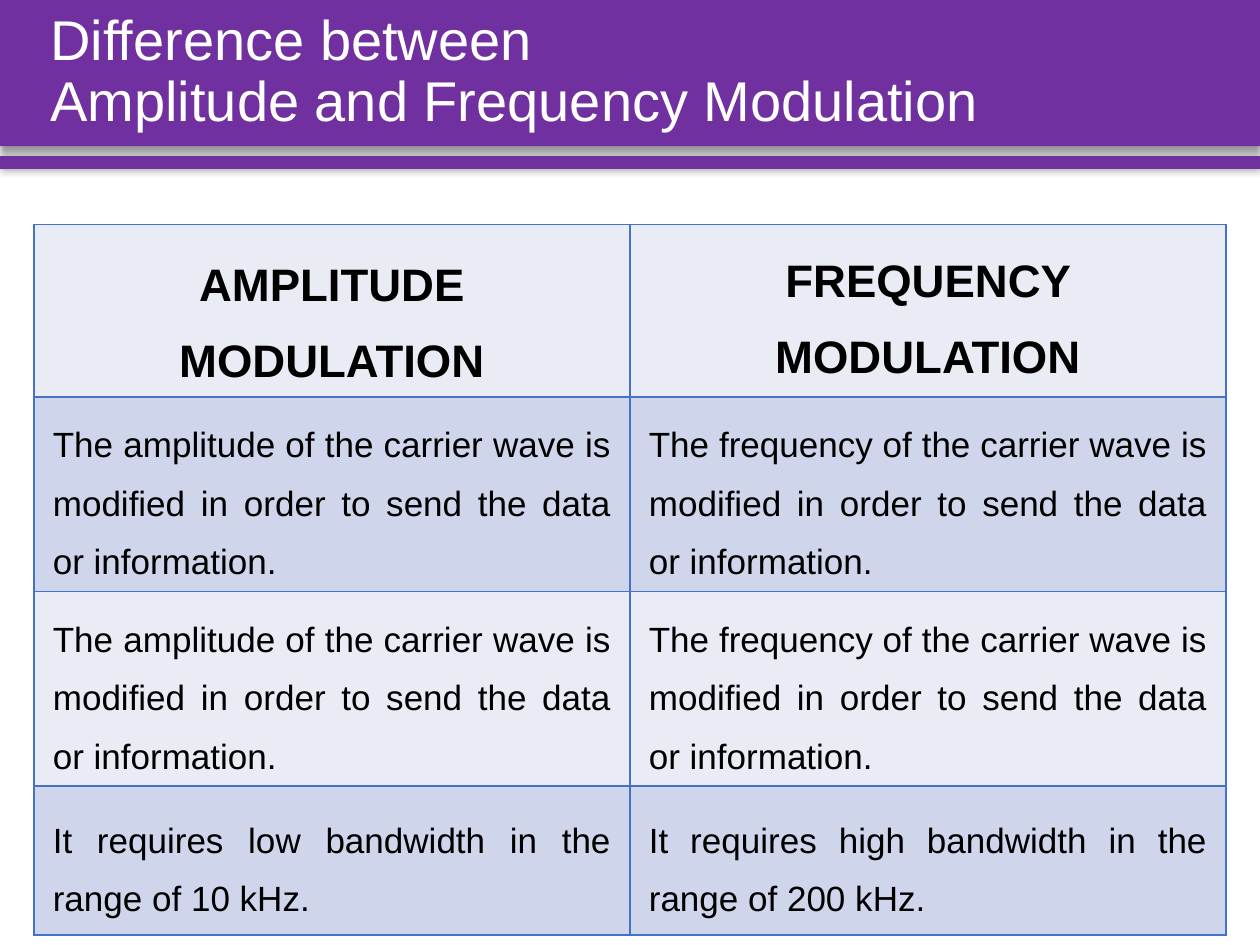
from lxml.etree import SubElement
from pptx import Presentation
from pptx.dml.color import RGBColor
from pptx.enum.shapes import MSO_SHAPE
from pptx.enum.text import MSO_ANCHOR, MSO_AUTO_SIZE, PP_ALIGN
from pptx.oxml.ns import qn
from pptx.util import Pt

# Content
TITLE = "Difference between\vAmplitude and Frequency Modulation"
ROWS = [
    ("AMPLITUDE MODULATION", "FREQUENCY MODULATION"),
    ("The amplitude of the carrier wave is modified in order to send the data or information.",
     "The frequency of the carrier wave is modified in order to send the data or information."),
    ("The amplitude of the carrier wave is modified in order to send the data or information.",
     "The frequency of the carrier wave is modified in order to send the data or information."),
    ("It requires low bandwidth in the range of 10 kHz.",
     "It requires high bandwidth in the range of 200 kHz."),
]
COLORS = {"purple": "7030A0", "white": "FFFFFF", "black": "000000",
          "border": "4472C4", "light": "E9EBF5", "dark": "CFD5EA"}
FONT = "Arial"

# Layout, in points
SLIDE_WIDTH, SLIDE_HEIGHT = 720, 540
BANNER_HEIGHT = 83.5
BARS = [  # top, height, shadow blur, distance, direction in degrees
    (0, BANNER_HEIGHT, 4, 3, 90),
    (89.3, 7.2, 5, 0, 0),
]
TABLE_LEFT, TABLE_TOP, COLUMN_WIDTH = 19.4, 128.2, 340.6
HEADER_HEIGHT, ROW_HEIGHT = 50, 85
HEADER_MARGINS, BODY_MARGINS = (5.8, 5.8), (10.8, 5.4)  # side, top and bottom


def rgb(name):
    return RGBColor.from_string(COLORS[name])


def add_shadow(shape, blur, distance, direction):
    shape.shadow.inherit = False
    effects = shape._element.spPr.find(qn("a:effectLst"))
    shadow = SubElement(effects, qn("a:outerShdw"), blurRad=str(Pt(blur)),
                        dist=str(Pt(distance)), dir=str(direction * 60000),
                        algn="t", rotWithShape="0")
    color = SubElement(shadow, qn("a:srgbClr"), val=COLORS["black"])
    SubElement(color, qn("a:alpha"), val="40000")


def add_borders(cell):
    properties = cell._tc.get_or_add_tcPr()
    for index, side in enumerate(("a:lnL", "a:lnR", "a:lnT", "a:lnB")):
        line = properties.makeelement(qn(side), {"w": str(Pt(1))})
        fill = SubElement(line, qn("a:solidFill"))
        SubElement(fill, qn("a:srgbClr"), val=COLORS["border"])
        properties.insert(index, line)


def format_paragraph(paragraph, size, color, alignment, spacing, bold=False):
    paragraph.alignment = alignment
    paragraph.line_spacing = spacing
    paragraph.font.name = FONT
    paragraph.font.size = Pt(size)
    paragraph.font.bold = bold
    paragraph.font.color.rgb = rgb(color)


presentation = Presentation()
presentation.slide_width, presentation.slide_height = Pt(SLIDE_WIDTH), Pt(SLIDE_HEIGHT)
slide = presentation.slides.add_slide(presentation.slide_layouts[5])
shapes = slide.shapes

# Banner and stripe
for top, height, blur, distance, direction in BARS:
    bar = shapes.add_shape(MSO_SHAPE.RECTANGLE, 0, Pt(top), Pt(SLIDE_WIDTH), Pt(height))
    bar.fill.solid()
    bar.fill.fore_color.rgb = rgb("purple")
    bar.line.fill.background()
    add_shadow(bar, blur, distance, direction)

# Comparison table
table = shapes.add_table(
    len(ROWS), 2, Pt(TABLE_LEFT), Pt(TABLE_TOP), Pt(2 * COLUMN_WIDTH),
    Pt(HEADER_HEIGHT + ROW_HEIGHT * (len(ROWS) - 1))).table
for column in table.columns:
    column.width = Pt(COLUMN_WIDTH)
for row_index, texts in enumerate(ROWS):
    header = row_index == 0
    table.rows[row_index].height = Pt(HEADER_HEIGHT if header else ROW_HEIGHT)
    for column_index, text in enumerate(texts):
        cell = table.cell(row_index, column_index)
        cell.text = text
        cell.fill.solid()
        cell.fill.fore_color.rgb = rgb("dark" if row_index % 2 else "light")
        add_borders(cell)
        # The second heading keeps the default margins and top anchor
        if not (header and column_index == 1):
            side, edge = HEADER_MARGINS if header else BODY_MARGINS
            cell.margin_left = cell.margin_right = Pt(side)
            cell.margin_top = cell.margin_bottom = Pt(edge)
            cell.vertical_anchor = MSO_ANCHOR.MIDDLE
        format_paragraph(cell.text_frame.paragraphs[0], 26 if header else 20, "black",
                         PP_ALIGN.CENTER if header else PP_ALIGN.JUSTIFY, 1.5, header)

# Title, brought in front of the banner
title = shapes.title
title.left, title.top, title.width, title.height = (
    Pt(21.6), Pt(0), Pt(2 * COLUMN_WIDTH), Pt(BANNER_HEIGHT))
title.text_frame.text = TITLE
title.text_frame.word_wrap = True
title.text_frame.auto_size = MSO_AUTO_SIZE.NONE
title.text_frame.vertical_anchor = MSO_ANCHOR.MIDDLE
format_paragraph(title.text_frame.paragraphs[0], 32, "white", PP_ALIGN.LEFT, 0.9)
shapes._spTree.append(title._element)

presentation.save("out.pptx")
